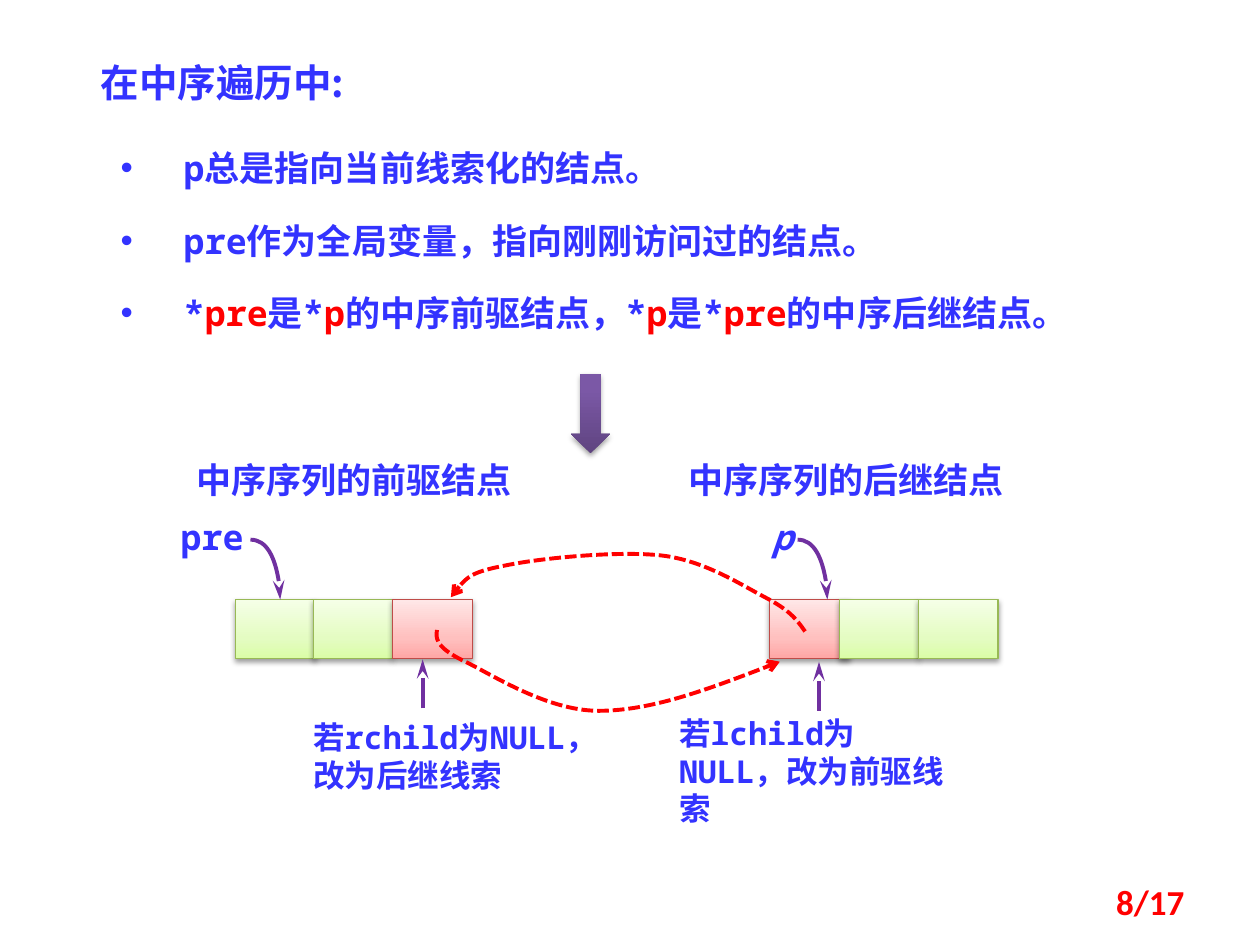
from copy import deepcopy
from dataclasses import dataclass

from pptx import Presentation
from pptx.dml.color import RGBColor
from pptx.enum.dml import MSO_LINE
from pptx.enum.shapes import MSO_CONNECTOR, MSO_SHAPE
from pptx.enum.text import MSO_ANCHOR, MSO_AUTO_SIZE, PP_ALIGN
from pptx.oxml import parse_xml
from pptx.oxml.ns import nsdecls, qn
from pptx.util import Cm, Pt

RECTANGLE, DOWN_ARROW = MSO_SHAPE.RECTANGLE, MSO_SHAPE.DOWN_ARROW
LEFT, CENTER, RIGHT, JUSTIFY = PP_ALIGN.LEFT, PP_ALIGN.CENTER, PP_ALIGN.RIGHT, PP_ALIGN.JUSTIFY
TOP, MIDDLE = MSO_ANCHOR.TOP, MSO_ANCHOR.MIDDLE
DASHED = MSO_LINE.SQUARE_DOT


@dataclass
class Theme:
    blue: str = "3333FF"
    red: str = "FF0000"
    purple: str = "7030A0"
    green_line: str = "98B955"
    pink_line: str = "BF4C48"
    green_fill: tuple = ((0, "DAFDA7"), (0.35, "E4FCC2"), (1, "F5FFE7"))
    pink_fill: tuple = ((0, "FFA6A5"), (0.35, "FFC0BF"), (1, "FFE7E7"))
    arrow_fill: tuple = ((0, "5F4480"), (0.8, "7B58A6"), (1, "7C57A8"))
    title_size: int = 22
    text_size: int = 20
    note_size: int = 18
    mono: str = "Noto Sans Mono"
    cjk: str = "Noto Sans CJK SC"
    serif: str = "Times New Roman"
    sans: str = "Calibri"


theme = Theme()


def add_span(para, text, size, font, color=theme.blue, italic=False):
    span = para.add_run()
    span.text = text
    span.font.size = Pt(size)
    span.font.bold = True
    span.font.italic = italic
    span.font.name = font
    span.font.color.rgb = RGBColor.from_string(color)
    east_asian = parse_xml(f'<a:ea {nsdecls("a")} typeface="{theme.cjk}"/>')
    span.font._element.find(qn("a:latin")).addnext(east_asian)


def add_curve(shapes, points):
    """Open chain of cubic curves: a start, then two controls and an end for each."""
    start, *others = [(Cm(x), Cm(y)) for x, y in points]
    builder = shapes.build_freeform(*start)
    builder.add_line_segments(others, close=False)
    curve = builder.convert_to_shape()
    lines = list(curve._element.iter(qn("a:lnTo")))
    for first, second, end in zip(lines[::3], lines[1::3], lines[2::3]):
        cubic = parse_xml(f'<a:cubicBezTo {nsdecls("a")}/>')
        first.addprevious(cubic)
        for line in (first, second, end):
            cubic.append(line[0])
            line.getparent().remove(line)
    curve.fill.background()
    curve.shadow.inherit = False
    return curve


deck = Presentation()
deck.slide_width, deck.slide_height = Cm(25.4), Cm(19.05)
page = deck.slides.add_slide(deck.slide_layouts[1])
shapes = page.shapes

# Title and bullet list
title, body = shapes.title, page.placeholders[1]
for box, left, top, width, height in [(title, 1.78, 0.79, 10.11, 1.3),
                                      (body, 2.18, 2.58, 21.03, 4.45)]:
    box.left, box.top, box.width, box.height = Cm(left), Cm(top), Cm(width), Cm(height)
    box.text_frame.auto_size = MSO_AUTO_SIZE.NONE
    box.text_frame.vertical_anchor = TOP

para = title.text_frame.paragraphs[0]
para.alignment, para.line_spacing = JUSTIFY, 1.3
add_span(para, "在中序遍历中:", theme.title_size, theme.cjk)

bullets = [
    [("p总是指向当前线索化的结点。", theme.blue)],
    [("pre作为全局变量，指向刚刚访问过的结点。", theme.blue)],
    [("*", theme.blue), ("pre", theme.red), ("是*", theme.blue), ("p", theme.red),
     ("的中序前驱结点，*", theme.blue), ("p", theme.red), ("是*", theme.blue),
     ("pre", theme.red), ("的中序后继结点。", theme.blue)],
]
for number, spans in enumerate(bullets):
    para = body.text_frame.add_paragraph() if number else body.text_frame.paragraphs[0]
    para.alignment, para.line_spacing, para.space_before = JUSTIFY, 1.3, Pt(10)
    properties = para._p.get_or_add_pPr()
    properties.set("marL", str(Cm(1.27)))
    properties.set("indent", str(-Cm(1.27)))
    for text, color in spans:
        add_span(para, text, theme.text_size, theme.mono, color)

# Node cells and the block arrow
cell_top, cell_width, cell_height = 12.09, 1.6, 1.19
green, pink = (theme.green_fill, theme.green_line), (theme.pink_fill, theme.pink_line)
cells = [(4.75, green), (6.32, green), (7.92, pink),
         (15.52, pink), (16.92, green), (18.52, green)]
blocks = [(RECTANGLE, left, cell_top, cell_width, cell_height, *look) for left, look in cells]
blocks.append((DOWN_ARROW, 11.51, 7.54, 0.79, 1.6, theme.arrow_fill, None))
for kind, left, top, width, height, stops, outline in blocks:
    block = shapes.add_shape(kind, Cm(left), Cm(top), Cm(width), Cm(height))
    block.fill.gradient()
    block.fill.gradient_angle = 90
    stop_list = block._element.spPr.find(qn("a:gradFill")).find(qn("a:gsLst"))
    stop_list.append(deepcopy(stop_list[0]))
    for stop, (position, color) in zip(block.fill.gradient_stops, stops):
        stop.position = position
        stop.color.rgb = RGBColor.from_string(color)
    if outline:
        block.line.color.rgb = RGBColor.from_string(outline)
        block.line.width = Pt(0.75)
    else:
        block.line.fill.background()
    block._element.spPr.append(parse_xml(
        f'<a:effectLst {nsdecls("a")}><a:outerShdw blurRad="40000" dist="20000" '
        'dir="5400000" rotWithShape="0"><a:srgbClr val="000000"><a:alpha val="38000"/>'
        '</a:srgbClr></a:outerShdw></a:effectLst>'))

# Headings, pointer names, notes and page number
text_boxes = []
for left, text in [(3.71, "中序序列的前驱结点"), (13.63, "中序序列的后继结点")]:
    text_boxes.append((left, 9.12, 7.59, 1.09, text, theme.text_size, theme.serif, LEFT))
for left, text in [(3.38, "pre"), (14.88, "p")]:
    text_boxes.append((left, 10.39, 1.8, 0.84, text, theme.text_size, theme.mono, CENTER))
for left, top, width, text in [(6.32, 14.48, 5.79, "若rchild为NULL，改为后继线索"),
                               (13.69, 14.39, 5.54, "若lchild为NULL，改为前驱线索")]:
    text_boxes.append((left, top, width, 1.55, text, theme.note_size, theme.mono, LEFT))
text_boxes.append((18.21, 17.66, 5.92, 1.02, "8/17", theme.text_size, theme.sans, RIGHT))
for left, top, width, height, text, size, font, align in text_boxes:
    box = shapes.add_textbox(Cm(left), Cm(top), Cm(width), Cm(height))
    frame = box.text_frame
    frame.word_wrap = True
    if font == theme.mono:
        frame.margin_left = frame.margin_right = frame.margin_top = frame.margin_bottom = 0
    if font == theme.sans:
        frame.vertical_anchor = MIDDLE
    para = frame.paragraphs[0]
    para.alignment = align
    color = theme.red if font == theme.sans else theme.blue
    add_span(para, text, size, font, color, italic=text == "p")

# Straight pointers to the link fields
arrows = []
for x, tip in [(8.52, 13.29), (16.51, 13.34)]:
    pointer = shapes.add_connector(MSO_CONNECTOR.STRAIGHT, Cm(x), Cm(tip + 0.99), Cm(x), Cm(tip))
    pointer._element.spPr.append(parse_xml(f'<a:effectLst {nsdecls("a")}/>'))
    arrows.append((pointer, theme.purple, "stealth", "lg"))

# Hooks from the names
for x in (5.05, 16.08):
    hook = add_curve(shapes, [(x, 10.88), (x + 0.33, 10.88), (x + 0.6, 11.43), (x + 0.6, cell_top)])
    arrows.append((hook, theme.purple, "stealth", "lg"))

# Dashed threads between the nodes
threads = [
    [(8.81, 12.7), (8.79, 12.85), (8.76, 13.03), (9.32, 13.31),
     (9.86, 13.56), (11, 14.33), (12.07, 14.33),
     (13.13, 14.33), (14.43, 13.84), (15.72, 13.34)],
    [(16.23, 12.73), (16.05, 12.47), (15.9, 12.29), (15.42, 12.04),
     (14.94, 11.79), (14.2, 11.3), (13.34, 11.2),
     (12.47, 11.1), (10.9, 11.25), (10.19, 11.4),
     (9.5, 11.53), (9.3, 11.73), (9.09, 12.04)],
]
for points in threads:
    thread = add_curve(shapes, points)
    thread.line.dash_style = DASHED
    arrows.append((thread, theme.red, "arrow", "med"))

# Line colour and arrowhead
for arrow, color, head, length in arrows:
    arrow.line.color.rgb = RGBColor.from_string(color)
    arrow.line.width = Pt(2.25)
    arrow._element.spPr.find(qn("a:ln")).append(
        parse_xml(f'<a:tailEnd {nsdecls("a")} type="{head}" len="{length}"/>'))

deck.save("out.pptx")
